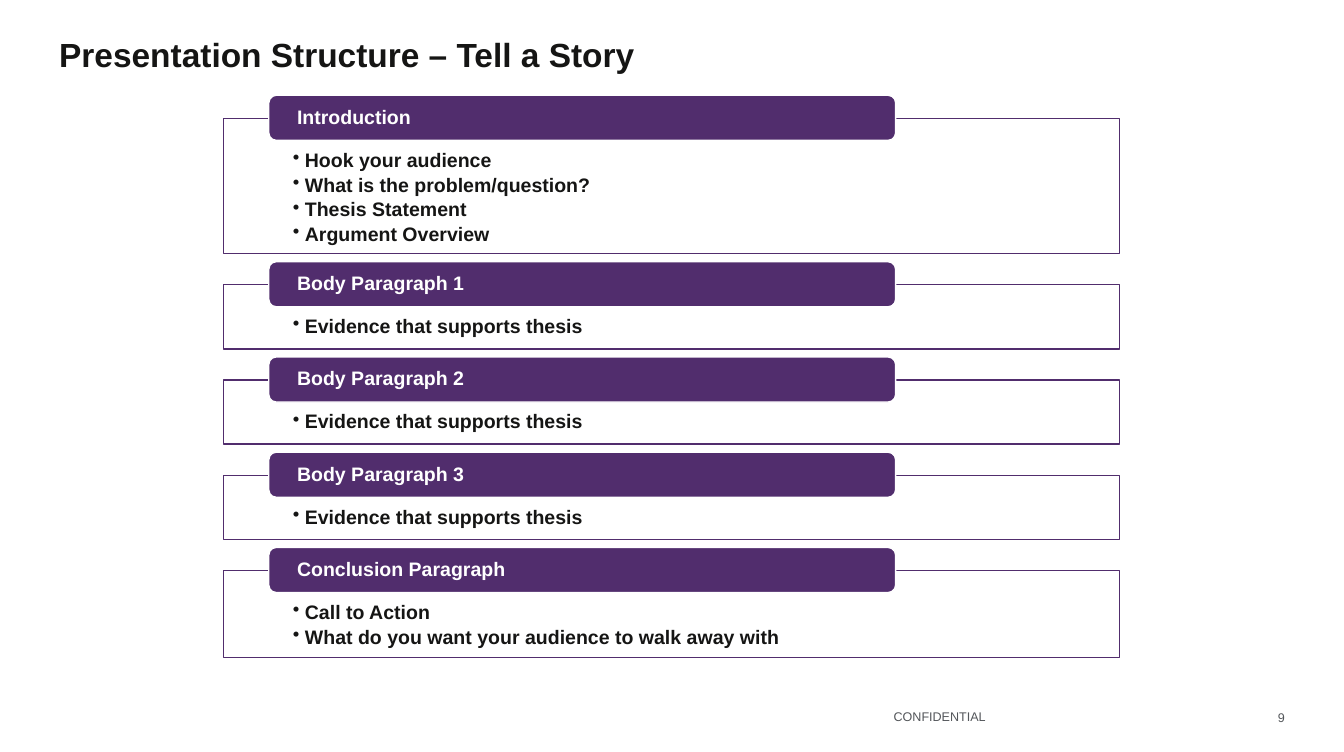
from lxml import etree
from pptx import Presentation
from pptx import util as u
from pptx.dml.color import RGBColor
from pptx.enum import shapes, text
from pptx.oxml import ns

PURPLE = RGBColor(0x51, 0x2D, 0x6D)
WHITE = RGBColor(0xFF, 0xFF, 0xFF)
INK = RGBColor(0x15, 0x15, 0x14)
GREY = RGBColor(0x53, 0x56, 0x5A)

FIRST_TOP, SECTION_GAP = 1.18, 0.31
EVIDENCE = ["Evidence that supports thesis"]
SECTIONS = [
    ("Introduction", 1.35, ["Hook your audience", "What is the problem/question?",
                            "Thesis Statement", "Argument Overview"]),
    ("Body Paragraph 1", 0.64, EVIDENCE),
    ("Body Paragraph 2", 0.64, EVIDENCE),
    ("Body Paragraph 3", 0.64, EVIDENCE),
    ("Conclusion Paragraph", 0.87, ["Call to Action",
                                    "What do you want your audience to walk away with"]),
]


def set_frame(box, anchor, side=0, top=0, bottom=0):
    """Set wrapping, anchor and insets of a box and return its text frame."""
    frame = box.text_frame
    frame.word_wrap = True
    frame.vertical_anchor = anchor
    frame.margin_left = frame.margin_right = u.Inches(side)
    frame.margin_top, frame.margin_bottom = u.Inches(top), u.Inches(bottom)
    return frame


def write(para, words, size, color, bold=False, align=text.PP_ALIGN.LEFT):
    """Fill one paragraph with text in a single style."""
    para.text = words
    para.alignment = align
    font = para.font
    font.name, font.size, font.bold = "Arial", u.Pt(size), bold
    font.color.rgb = color


def add_bullet(para):
    """Give a paragraph a hanging round bullet."""
    properties = para._p.get_or_add_pPr()
    properties.set("marL", str(u.Inches(0.12)))
    properties.set("indent", str(-u.Inches(0.12)))
    etree.SubElement(properties, ns.qn("a:buChar")).set("char", "•")


def add_label(page, words, place, size, color, anchor, **style):
    """Add a text box without insets and return its paragraph."""
    box = page.shapes.add_textbox(*map(u.Inches, place))
    para = set_frame(box, anchor).paragraphs[0]
    write(para, words, size, color, **style)
    return para


def add_panel(page, kind, place, fill, line):
    """Add a filled and outlined shape."""
    panel = page.shapes.add_shape(kind, *map(u.Inches, place))
    panel.shadow.inherit = False
    panel.fill.solid()
    panel.fill.fore_color.rgb = fill
    panel.line.color.rgb = line
    panel.line.width = u.Pt(1)
    return panel


def add_section(page, heading, top, height, points):
    """Add a bulleted frame with its heading bar on the upper edge."""
    body = add_panel(page, shapes.MSO_SHAPE.RECTANGLE,
                     (2.23, top, 8.93, height), WHITE, PURPLE)
    frame = set_frame(body, text.MSO_ANCHOR.TOP, 0.69, 0.32, 0.11)
    for index, point in enumerate(points):
        para = frame.add_paragraph() if index else frame.paragraphs[0]
        para.line_spacing = 0.9
        para.space_after = u.Pt(2.7)
        add_bullet(para)
        write(para, point, 14, INK, bold=True)

    bar = add_panel(page, shapes.MSO_SHAPE.ROUNDED_RECTANGLE,
                    (2.68, top - 0.23, 6.25, 0.45), PURPLE, WHITE)
    para = set_frame(bar, text.MSO_ANCHOR.MIDDLE, 0.26).paragraphs[0]
    para.line_spacing = 0.9
    write(para, heading, 14, WHITE, bold=True)


def main():
    """Build the slide and save it."""
    deck = Presentation()
    deck.slide_width, deck.slide_height = u.Inches(13.4), u.Inches(7.5)
    page = deck.slides.add_slide(deck.slide_layouts[6])

    title = add_label(page, "Presentation Structure – Tell a Story",
                      (0.59, 0.3, 12.22, 0.9), 24, INK, text.MSO_ANCHOR.TOP, bold=True)
    title.line_spacing = u.Pt(32)

    top = FIRST_TOP
    for heading, height, points in SECTIONS:
        add_section(page, heading, top, height, points)
        top += height + SECTION_GAP

    add_label(page, "CONFIDENTIAL", (8.91, 6.85, 1.82, 0.37), 9, GREY,
              text.MSO_ANCHOR.BOTTOM)
    add_label(page, "9", (11.07, 6.85, 1.74, 0.38), 9, GREY,
              text.MSO_ANCHOR.BOTTOM, align=text.PP_ALIGN.RIGHT)
    deck.save("out.pptx")


if __name__ == "__main__":
    main()
